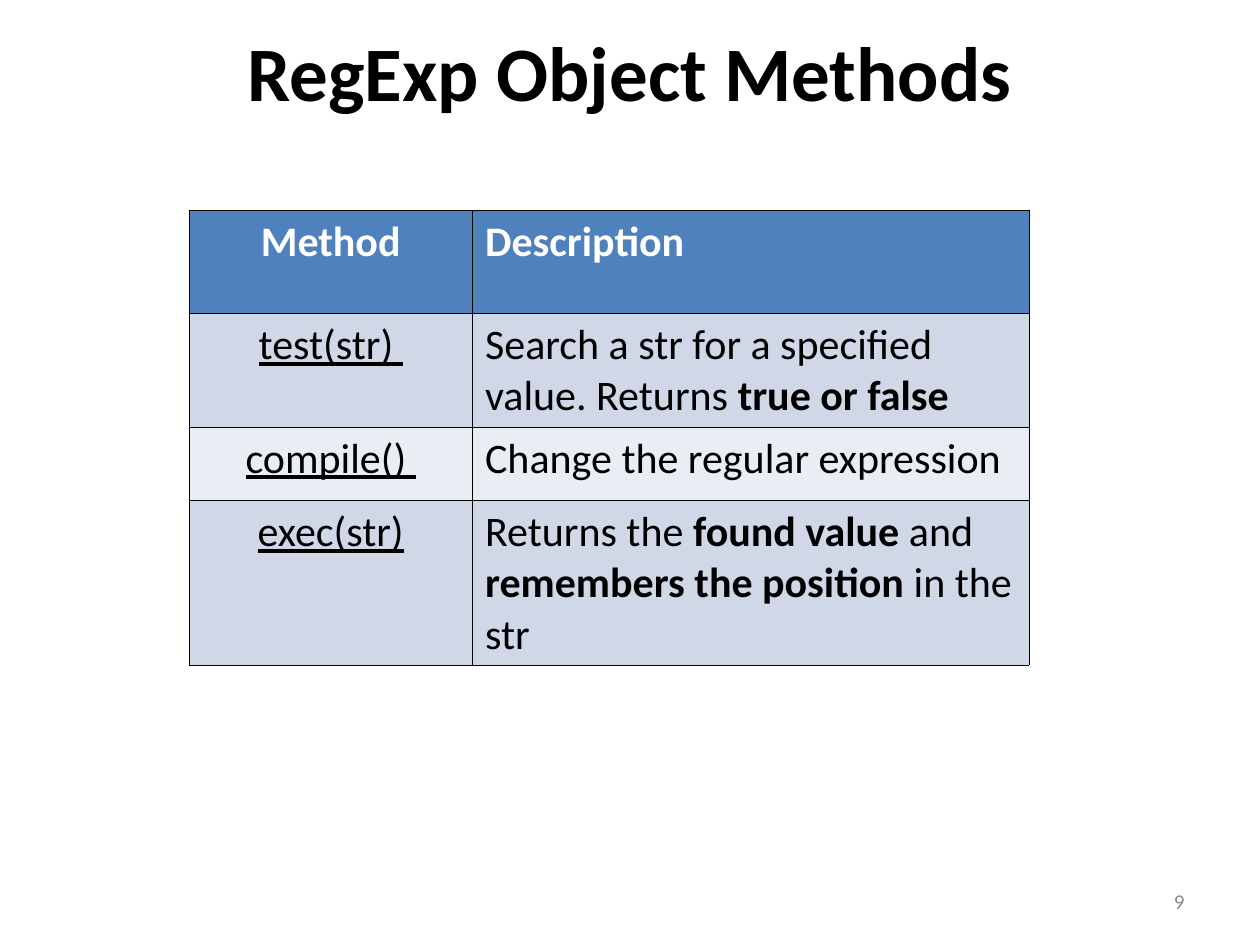
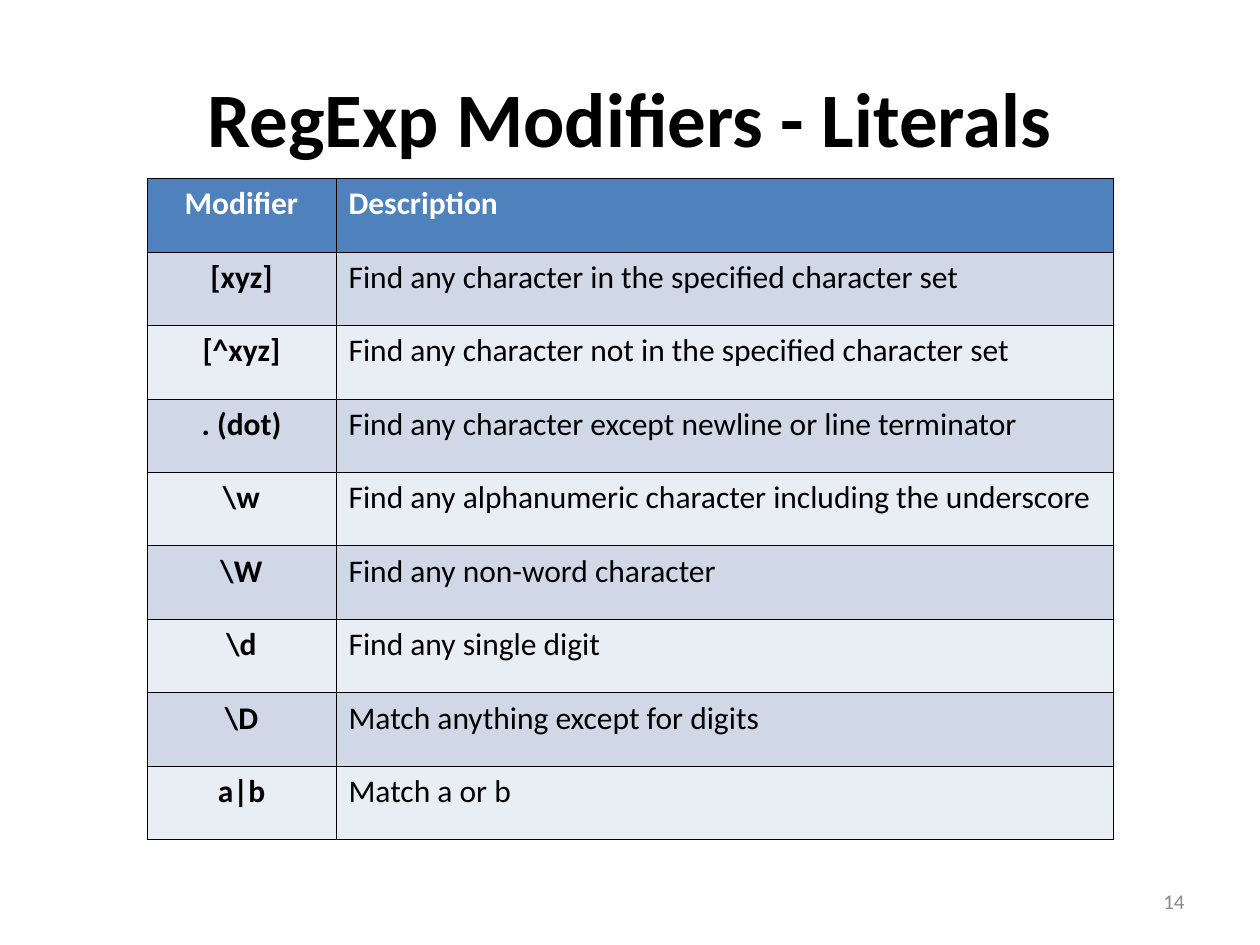
import pptx
import pptx.dml.color
import pptx.enum.text
import pptx.oxml
import pptx.util
from lxml import etree

Pt = pptx.util.Pt
ALIGN = pptx.enum.text.PP_ALIGN
MIDDLE = pptx.enum.text.MSO_ANCHOR.MIDDLE

# Content; ** switches bold on and off
SLIDES = [
    dict(
        title="RegExp Object Methods", title_top=13.5, title_height=54, number="9",
        left=108, top=120, widths=[162, 318], heights=[59, 65, 42, 94],
        size=24, key_style=dict(underline=True),
        rows=[
            ("Method", "Description"),
            ("test(str) ", "Search a str for a specified value. Returns **true or false"),
            ("compile() ", "Change the regular expression"),
            ("exec(str)", "Returns the **found value** and **remembers the position** in the str"),
        ],
    ),
    dict(
        title="RegExp Modifiers - Literals", title_top=21.6, title_height=90, number="14",
        left=84, top=102, widths=[108, 444], heights=[42] * 9,
        size=18, key_style=dict(bold=True),
        rows=[
            ("Modifier", "Description"),
            ("[xyz]", "Find any character in the specified character set"),
            ("[^xyz]", "Find any character not in the specified character set"),
            (". (dot)", "Find any character except newline or line terminator"),
            ("\\w", "Find any alphanumeric character including the underscore"),
            ("\\W", "Find any non-word character"),
            ("\\d", "Find any single digit"),
            ("\\D", "Match anything except for digits"),
            ("a|b", "Match a or b"),
        ],
    ),
]

# Shared look
FONT = "Calibri"
BLACK, WHITE, GREY = "000000", "FFFFFF", "898989"
HEADER_FILL, BAND_FILLS = "4F81BD", ("D0D8E8", "E9EDF4")
BORDER_WIDTH = 0.45


def rgb(color):
    return pptx.dml.color.RGBColor.from_string(color)


def write(tf, text, size, color, align, bold=None, underline=None):
    p = tf.paragraphs[0]
    p.alignment = align
    p.font.name, p.font.size = FONT, Pt(size)
    p.font.color.rgb = rgb(color)
    p.font.bold, p.font.underline = bold, underline
    for i, part in enumerate(text.split("**")):
        r = p.add_run()
        r.text = part
        if i % 2:
            r.font.bold = True


def add_text(s, box, text, size, color, align, bold=None):
    tf = s.shapes.add_textbox(*map(Pt, box)).text_frame
    tf.word_wrap = True
    tf.vertical_anchor = MIDDLE
    tf.margin_top = tf.margin_bottom = 0
    write(tf, text, size, color, align, bold)


def add_borders(cell):
    tc_pr = cell._tc.get_or_add_tcPr()
    for side in ("lnL", "lnR", "lnT", "lnB"):
        ln = etree.SubElement(tc_pr, pptx.oxml.ns.qn("a:" + side), w=str(int(Pt(BORDER_WIDTH))))
        fill = etree.SubElement(ln, pptx.oxml.ns.qn("a:solidFill"))
        etree.SubElement(fill, pptx.oxml.ns.qn("a:srgbClr"), val=BLACK)


def add_table(s, d):
    widths, heights = d["widths"], d["heights"]
    box = (d["left"], d["top"], sum(widths), sum(heights))
    table = s.shapes.add_table(len(heights), len(widths), *map(Pt, box)).table
    for column, width in zip(table.columns, widths):
        column.width = Pt(width)
    for i, (height, texts) in enumerate(zip(heights, d["rows"])):
        table.rows[i].height = Pt(height)
        for j, text in enumerate(texts):
            cell = table.cell(i, j)
            add_borders(cell)
            cell.fill.solid()
            cell.fill.fore_color.rgb = rgb(BAND_FILLS[(i - 1) % 2] if i else HEADER_FILL)
            if i == 0:
                style = dict(bold=True)
            else:
                style = d["key_style"] if j == 0 else {}
            write(cell.text_frame, text, d["size"], BLACK if i else WHITE,
                  ALIGN.LEFT if j else ALIGN.CENTER, **style)


def main():
    prs = pptx.Presentation()
    prs.slide_width, prs.slide_height = Pt(720), Pt(540)
    for d in SLIDES:
        s = prs.slides.add_slide(prs.slide_layouts[6])
        # Title, table and slide number
        add_text(s, (36, d["title_top"], 648, d["title_height"]),
                 d["title"], 44, BLACK, ALIGN.CENTER, bold=True)
        add_table(s, d)
        add_text(s, (516, 500.5, 168, 28.75), d["number"], 12, GREY, ALIGN.RIGHT)
    prs.save("out.pptx")


if __name__ == "__main__":
    main()
